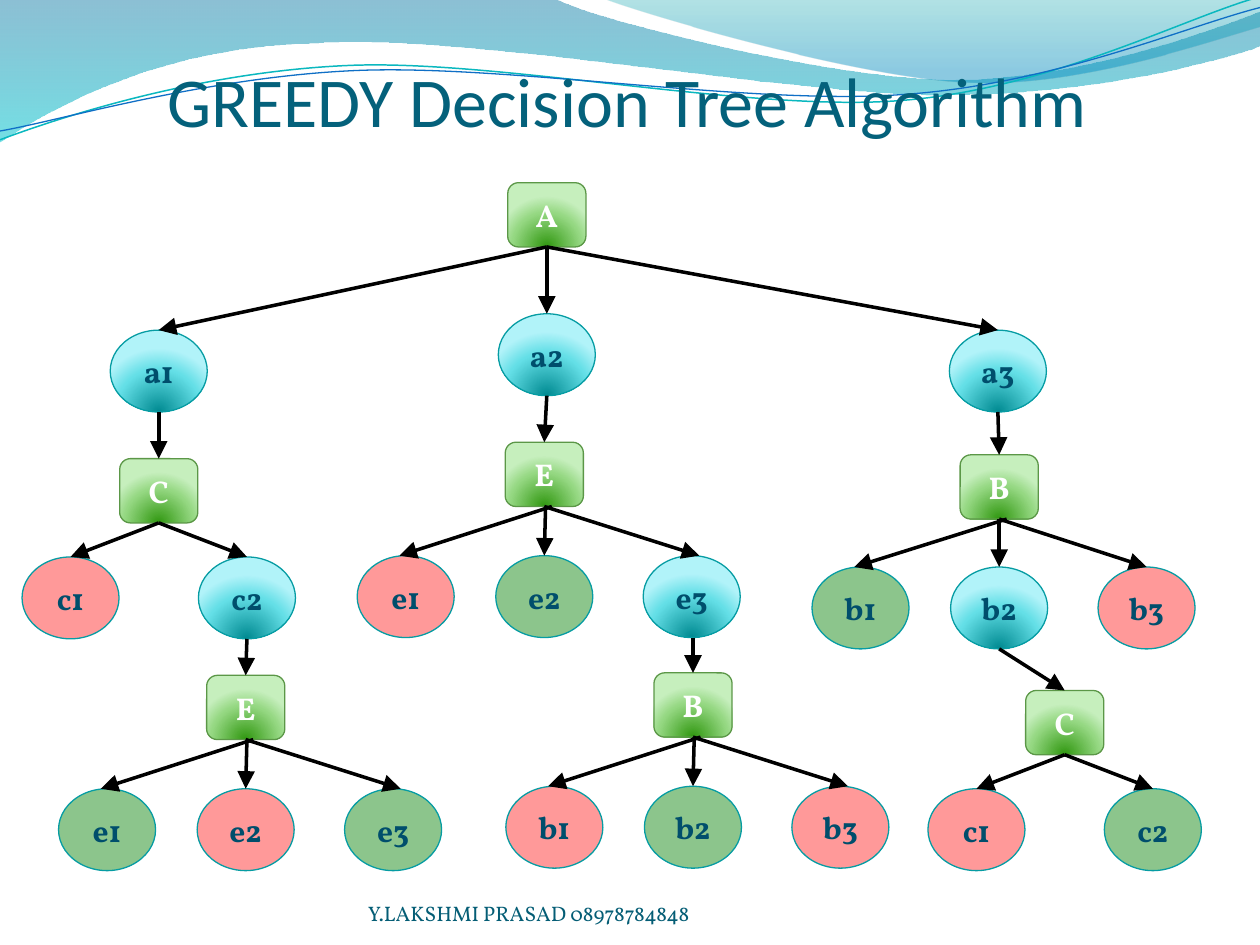
import lxml.etree
import pptx
import pptx.dml.color
import pptx.enum.shapes
import pptx.enum.text
import pptx.oxml
import pptx.oxml.ns
import pptx.util

RGB = pptx.dml.color.RGBColor
SHAPE = pptx.enum.shapes.MSO_SHAPE
ALIGN = pptx.enum.text.PP_ALIGN
ANCHOR = pptx.enum.text.MSO_ANCHOR
qn = pptx.oxml.ns.qn

WHITE = RGB(0xFF, 0xFF, 0xFF)
BLACK = RGB(0x00, 0x00, 0x00)
RED = RGB(0xFF, 0x00, 0x00)
GREEN = RGB(0x00, 0x80, 0x00)
NAVY = RGB(0x00, 0x4E, 0x6C)
TITLE_BLUE = RGB(0x04, 0x61, 0x7B)
FOOTER_BLUE = RGB(0x04, 0x5D, 0x75)
TEAL_EDGE = RGB(0x06, 0x9C, 0xA3)
GREEN_EDGE = RGB(0x5B, 0x97, 0x47)
WAVE_TEAL = RGB(0x0A, 0xB8, 0xBF)
WAVE_BLUE = RGB(0x0F, 0x6F, 0xC6)

DOWN = '<a:lin ang="5400000" scaled="1"/>'
GLOW = '<a:path path="circle"><a:fillToRect l="50000" t="130000" r="50000" b="-30000"/></a:path>'

# A fill is its stops (position %, colour, opacity %) and a gradient direction.
BOX_FILL = ([(0, RGB(0x31, 0x98, 0x11), 100), (68, RGB(0x95, 0xD8, 0x82), 100),
             (100, RGB(0xC6, 0xEF, 0xBD), 100)], GLOW)
BRANCH = ([(0, RGB(0x00, 0x8A, 0x91), 100), (68, RGB(0x64, 0xDF, 0xE7), 100),
           (100, RGB(0xB1, 0xF3, 0xF9), 100)], GLOW)
NO = ([(0, RED, 40)], None)
YES = ([(0, GREEN, 45)], None)
WIDE_WAVE = ([(0, RGB(0x00, 0x74, 0xA1), 45), (100, RGB(0x00, 0xC6, 0xCF), 55)], DOWN)
RIGHT_WAVE = ([(0, RGB(0x00, 0xA1, 0xA9), 30), (80, RGB(0x00, 0x8B, 0xBF), 45)], DOWN)

deck = pptx.Presentation()
deck.slide_width = pptx.util.Inches(10)
deck.slide_height = pptx.util.Inches(7.5)
page = deck.slides.add_slide(deck.slide_layouts[5])
CELL = deck.slide_width // 10  # the grid has 10 columns and 7.5 rows


def grid(*cells):
    return [round(cell * CELL) for cell in cells]


def paint(shape, fill, edge, width, arrow=False):
    """Give a shape its fill and outline, with no shadow."""
    if edge is None:
        shape.line.fill.background()
    else:
        shape.line.color.rgb = edge
        shape.line.width = pptx.util.Pt(width)
    outline = shape._element.spPr.find(qn("a:ln"))
    namespace = pptx.oxml.ns.nsdecls("a")
    outline.addnext(pptx.oxml.parse_xml(f"<a:effectLst {namespace}/>"))
    if arrow:
        lxml.etree.SubElement(outline, qn("a:tailEnd"), type="triangle", w="lg", len="lg")
        return
    if fill is None:
        shape.fill.background()
        return
    stops, direction = fill
    colours = [f'<a:srgbClr val="{colour}"><a:alpha val="{opacity * 1000}"/></a:srgbClr>'
               for _, colour, opacity in stops]
    if direction is None:
        xml = f"<a:solidFill {namespace}>{colours[0]}</a:solidFill>"
    else:
        marks = "".join(f'<a:gs pos="{stop[0] * 1000}">{colour}</a:gs>'
                        for stop, colour in zip(stops, colours))
        xml = (f'<a:gradFill {namespace} rotWithShape="1"><a:gsLst>{marks}</a:gsLst>'
               f"{direction}</a:gradFill>")
    outline.addprevious(pptx.oxml.parse_xml(xml))


# Waves: start point, then straight steps (2 numbers) or Bezier steps (6 numbers)
WAVES = [
    (WIDE_WAVE, None, 0, (0, 0), [
        (4.4, -0.01), (4.76, 0.17, 6.64, 0.63, 7.58, 0.63),
        (8.53, 0.63, 9.58, 0.26, 10, 0.09), (10.01, 0.36),
        (9.83, 0.44, 8.7, 0.76, 7.46, 0.75), (6.22, 0.75, 3.82, 0.28, 2.57, 0.34),
        (1.29, 0.36, 0.46, 0.83, -0.01, 1.13), (0, 0)]),
    (RIGHT_WAVE, None, 0, (4.79, -0.01), [
        (5.09, 0.11, 6.82, 0.62, 7.69, 0.65), (8.56, 0.69, 9.61, 0.32, 10, 0.21),
        (10, 0), (4.79, -0.01)]),
    (None, WAVE_TEAL, 0.85, (0, 1.11), [
        (0.48, 0.93, 1.58, 0.57, 2.77, 0.52), (3.95, 0.47, 5.93, 0.89, 7.13, 0.8),
        (8.33, 0.71, 9.38, 0.15, 9.98, -0.02)]),
    (None, WAVE_BLUE, 0.75, (0, 1.04), [
        (0.47, 0.96, 1.64, 0.61, 2.83, 0.56), (4.03, 0.51, 5.97, 0.84, 7.17, 0.75),
        (8.36, 0.67, 9.41, 0.21, 10, 0.06)]),
]
for fill, edge, width, start, segments in WAVES:
    builder = page.shapes.build_freeform(*grid(*start), scale=1.0)
    for segment in segments:
        points = zip(segment[0::2], segment[1::2])
        builder.add_line_segments([grid(*point) for point in points], close=False)
    if fill:
        builder.add_line_segments([], close=True)
    wave = builder.convert_to_shape()
    steps = iter(list(wave._element.iter(qn("a:lnTo"))))
    for segment in segments:
        first = next(steps)
        if len(segment) == 6:
            # The three straight steps of a Bezier segment become one curve.
            first.tag = qn("a:cubicBezTo")
            for _ in range(2):
                step = next(steps)
                first.append(step[0])
                step.getparent().remove(step)
    paint(wave, fill, edge, width)

# Each fan: child offset from the box centre, drop from the box top, arrow start and end shifts
ROOT = [(-3.08, 1.17, 0, 0), (0, 1.04, 0, 0), (3.58, 1.17, 0, 0)]
THREE = [(-1.1, 0.9, 0.06, -0.05), (0, 0.9, 0.01, 0), (1.17, 0.9, 0, 0.06)]
RIGHT_THREE = [(-1.1, 0.89, 0.06, -0.05), (0, 0.89, 0, 0), (1.17, 0.89, 0, 0)]
TWO = [(-0.7, 0.78, 0, 0), (0.7, 0.78, 0, 0)]

# Attribute, box centre, box top, centre and top of the parent circle, fan, child fills
TESTS = [
    ("A", 4.34, 1.45, None, ROOT, [BRANCH, BRANCH, BRANCH]),
    ("C", 1.26, 3.64, (1.26, 2.62), TWO, [NO, BRANCH]),
    ("E", 4.32, 3.51, (4.34, 2.49), THREE, [NO, YES, BRANCH]),
    ("B", 7.93, 3.61, (7.92, 2.62), RIGHT_THREE, [YES, BRANCH, NO]),
    ("E", 1.95, 5.36, (1.96, 4.42), THREE, [YES, NO, YES]),
    ("B", 5.5, 5.34, (5.5, 4.41), THREE, [NO, YES, NO]),
    ("C", 8.45, 5.48, (7.93, 4.5), TWO, [NO, YES]),
]
BOX_WIDTH, BOX_HEIGHT = 0.62, 0.51
CIRCLE_WIDTH, CIRCLE_HEIGHT = 0.77, 0.65

nodes, arrows = [], []
for attribute, centre, top, parent, fan, fills in TESTS:
    nodes.append((SHAPE.ROUNDED_RECTANGLE, centre, top, BOX_WIDTH, BOX_HEIGHT,
                  BOX_FILL, GREEN_EDGE, attribute, WHITE))
    if parent:
        arrows.append((parent[0], parent[1] + CIRCLE_HEIGHT, centre, top))
    for number, ((offset, drop, start, end), fill) in enumerate(zip(fan, fills), 1):
        child = centre + offset
        nodes.append((SHAPE.OVAL, child, top + drop, CIRCLE_WIDTH, CIRCLE_HEIGHT,
                      fill, TEAL_EDGE, f"{attribute.lower()}{number}", NAVY))
        arrows.append((centre + start, top + BOX_HEIGHT, child + end, top + drop))

texts = []
for preset, centre, top, width, height, fill, edge, label, colour in nodes:
    node = page.shapes.add_shape(preset, *grid(centre - width / 2, top, width, height))
    paint(node, fill, edge, 0.75)
    texts.append((node, label, colour, ALIGN.CENTER, {"vertical_anchor": ANCHOR.MIDDLE},
                  {"name": "Vollkorn", "size": pptx.util.Pt(18), "bold": True}))

for ends in arrows:
    arrow = page.shapes.add_connector(pptx.enum.shapes.MSO_CONNECTOR.STRAIGHT, *grid(*ends))
    paint(arrow, None, BLACK, 2, arrow=True)

title = page.shapes.title
title.left, title.top, title.width, title.height = grid(1.33, 0.31, 8.28, 0.81)
page.shapes._spTree.append(title._element)
footer = page.shapes.add_textbox(*grid(2.92, 6.95, 3.67, 0.4))
FLUSH = {"vertical_anchor": ANCHOR.BOTTOM, "word_wrap": True, "margin_left": 0,
         "margin_right": 0, "margin_top": 0, "margin_bottom": 0}
texts += [
    (title, "GREEDY Decision Tree Algorithm", TITLE_BLUE, ALIGN.LEFT,
     {**FLUSH, "margin_top": pptx.util.Inches(0.05)},
     {"name": "Calibri", "size": pptx.util.Pt(40), "bold": False}),
    (footer, "Y.LAKSHMI PRASAD 08978784848", FOOTER_BLUE, ALIGN.LEFT, FLUSH,
     {"name": "Vollkorn", "size": pptx.util.Pt(12), "bold": False}),
]
for box, words, colour, alignment, frame_format, font_format in texts:
    for name, value in frame_format.items():
        setattr(box.text_frame, name, value)
    para = box.text_frame.paragraphs[0]
    para.alignment = alignment
    span = para.add_run()
    span.text = words
    span.font.color.rgb = colour
    for name, value in font_format.items():
        setattr(span.font, name, value)

deck.save("out.pptx")
